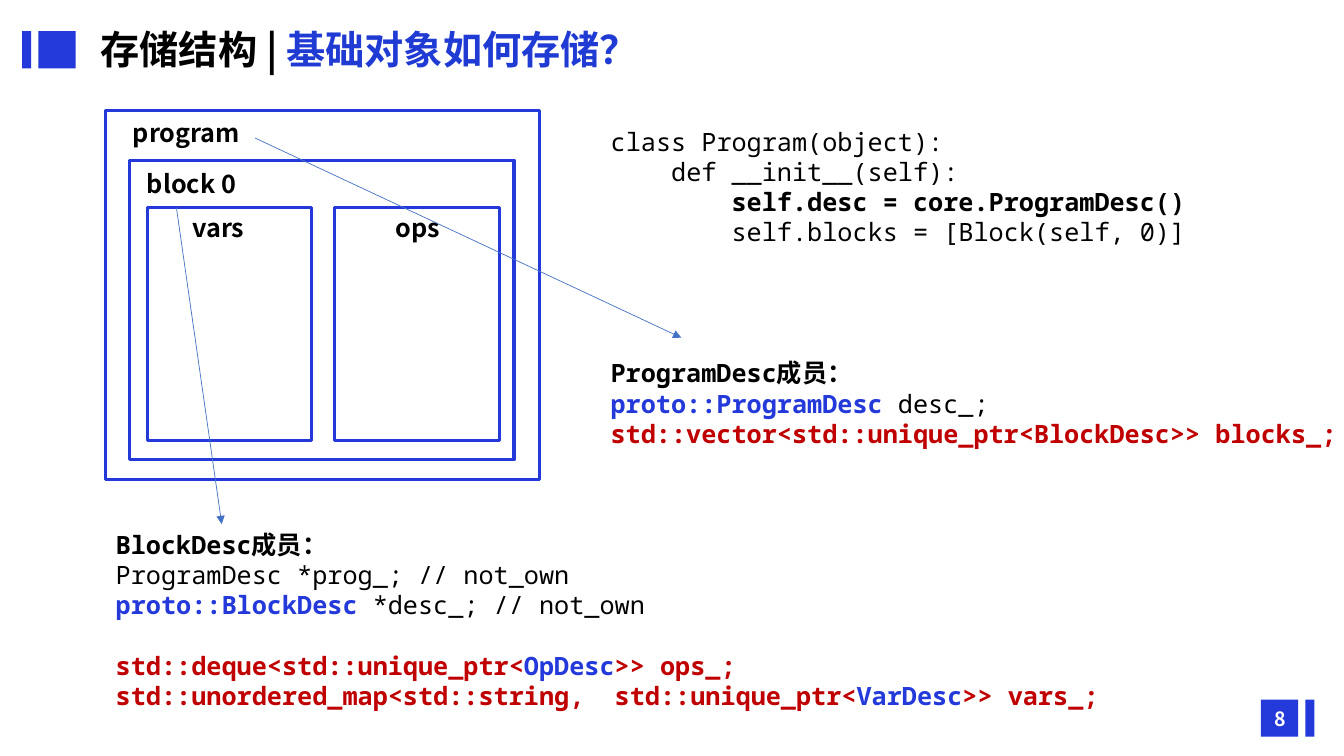
from typing import NamedTuple

from lxml.etree import SubElement
from pptx import Presentation
from pptx.dml.color import RGBColor
from pptx.enum.shapes import MSO_CONNECTOR as Wire, MSO_SHAPE as Form
from pptx.enum.text import MSO_ANCHOR as Anchor, MSO_AUTO_SIZE as Fit, PP_ALIGN as Align
from pptx.oxml.ns import qn
from pptx.util import Pt

BLUE, SKY, RED = "2339DA", "203BD3", "C00000"
BLACK, WHITE, STEEL = "000000", "FFFFFF", "4472C4"
SANS, MONO = "Noto Sans CJK SC", "Noto Sans Mono"


class Box(NamedTuple):
    x: float
    y: float
    w: float
    h: float


class Run(NamedTuple):
    text: str
    color: str = BLACK
    bold: bool = True


class Line(NamedTuple):
    runs: list[Run]
    gap: float = 0


class Label(NamedTuple):
    box: Box
    lines: list[Line]
    font: str = SANS
    size: float = 18
    align: Align = Align.LEFT


class Arrow(NamedTuple):
    x1: float
    y1: float
    x2: float
    y2: float


def row(text: str, color: str = BLACK, bold: bool = True) -> Line:
    return Line([Run(text, color, bold)])


BARS = [
    Box(27.4, 22.3, 26.6, 26.6),
    Box(15.8, 22.3, 6.5, 26.6),
    Box(900.7, 499.7, 26.6, 26.6),
    Box(932.4, 499.7, 6.5, 26.6),
]
FRAMES = [
    Box(75.6, 79.2, 309.6, 263.5),
    Box(92.2, 114.5, 275, 213.8),
    Box(105.1, 148.3, 117.7, 166.3),
    Box(239, 148.3, 117.7, 166.3),
]
PAGE = Label(Box(895, 499, 38.9, 28.8), [row("8", WHITE)], SANS, 14, Align.CENTER)
LABELS = [
    Label(Box(64.8, 14.4, 486, 41),
          [Line([Run("存储结构 | "), Run("基础对象如何存储？", SKY)])], SANS, 28),
    Label(Box(87.8, 80.6, 223.9, 28.8), [row("program")]),
    Label(Box(97.9, 116.6, 84.2, 28.8), [row("block 0")]),
    Label(Box(126, 148.3, 59.8, 28.8), [row("vars")], align=Align.CENTER),
    Label(Box(268.6, 148.3, 59.8, 28.8), [row("ops")], align=Align.CENTER),
    Label(Box(429.1, 86.4, 447.8, 94.3), [
        row("class Program(object):", bold=False),
        row("    def __init__(self):", bold=False),
        row("        self.desc = core.ProgramDesc()"),
        row("        self.blocks = [Block(self, 0)]", bold=False),
    ], MONO),
    Label(Box(429.1, 252, 542.2, 74.9), [
        row("ProgramDesc成员："),
        Line([Run("proto::ProgramDesc ", BLUE), Run("desc_; ", bold=False),
              Run("std::vector<std::unique_ptr<BlockDesc>> blocks_;", RED)]),
    ], MONO),
    Label(Box(75.6, 374.4, 780.5, 138.2), [
        row("BlockDesc成员："),
        row("ProgramDesc *prog_; // not_own", bold=False),
        Line([Run("proto::BlockDesc ", BLUE), Run("*desc_; // not_own", bold=False)]),
        Line([Run("std::deque<std::unique_ptr<", RED), Run("OpDesc", BLUE),
              Run(">> ops_;", RED)], gap=21.6),
        Line([Run("std::unordered_map<std::string,  std::unique_ptr<", RED),
              Run("VarDesc", BLUE), Run(">> vars_;", RED)]),
    ], MONO),
]
ARROWS = [Arrow(182.2, 98.6, 486.7, 241.2), Arrow(126, 148.3, 158.4, 374.4)]


def rgb(code: str) -> RGBColor:
    return RGBColor.from_string(code)


def place(box: Box) -> list[Pt]:
    return [Pt(n) for n in box]


def draw_rect(slide, box: Box, solid: bool) -> None:
    rect = slide.shapes.add_shape(Form.RECTANGLE, *place(box))
    rect.shadow.inherit = False
    if solid:
        rect.fill.solid()
        rect.fill.fore_color.rgb = rgb(BLUE)
        rect.line.fill.background()
    else:
        rect.fill.background()
        rect.line.color.rgb = rgb(BLUE)
        rect.line.width = Pt(2.25)


def draw_label(slide, label: Label, fit: Fit = Fit.SHAPE_TO_FIT_TEXT,
               anchor: Anchor = Anchor.TOP) -> None:
    frame = slide.shapes.add_textbox(*place(label.box)).text_frame
    frame.word_wrap = True
    frame.auto_size = fit
    frame.vertical_anchor = anchor
    for i, line in enumerate(label.lines):
        para = frame.add_paragraph() if i else frame.paragraphs[0]
        para.alignment = label.align
        if line.gap:
            para.space_before = Pt(line.gap)
        para.font.name = label.font
        para.font.size = Pt(label.size)
        props = para._p.get_or_add_pPr().get_or_add_defRPr()
        SubElement(props, qn("a:ea")).set("typeface", SANS)
        for part in line.runs:
            run = para.add_run()
            run.text = part.text
            run.font.bold = part.bold
            run.font.color.rgb = rgb(part.color)


def draw_arrow(slide, arrow: Arrow) -> None:
    wire = slide.shapes.add_connector(Wire.STRAIGHT, *[Pt(n) for n in arrow])
    wire.line.color.rgb = rgb(STEEL)
    wire.line.width = Pt(0.5)
    SubElement(wire.line._get_or_add_ln(), qn("a:tailEnd")).set("type", "triangle")
    SubElement(wire._element.spPr, qn("a:effectLst"))


def main() -> None:
    deck = Presentation()
    deck.slide_width, deck.slide_height = Pt(960), Pt(540)
    slide = deck.slides.add_slide(deck.slide_layouts[6])
    for bar in BARS:
        draw_rect(slide, bar, solid=True)
    for frame in FRAMES:
        draw_rect(slide, frame, solid=False)
    draw_label(slide, PAGE, Fit.NONE, Anchor.MIDDLE)
    for label in LABELS:
        draw_label(slide, label)
    for arrow in ARROWS:
        draw_arrow(slide, arrow)
    deck.save("out.pptx")


if __name__ == "__main__":
    main()
